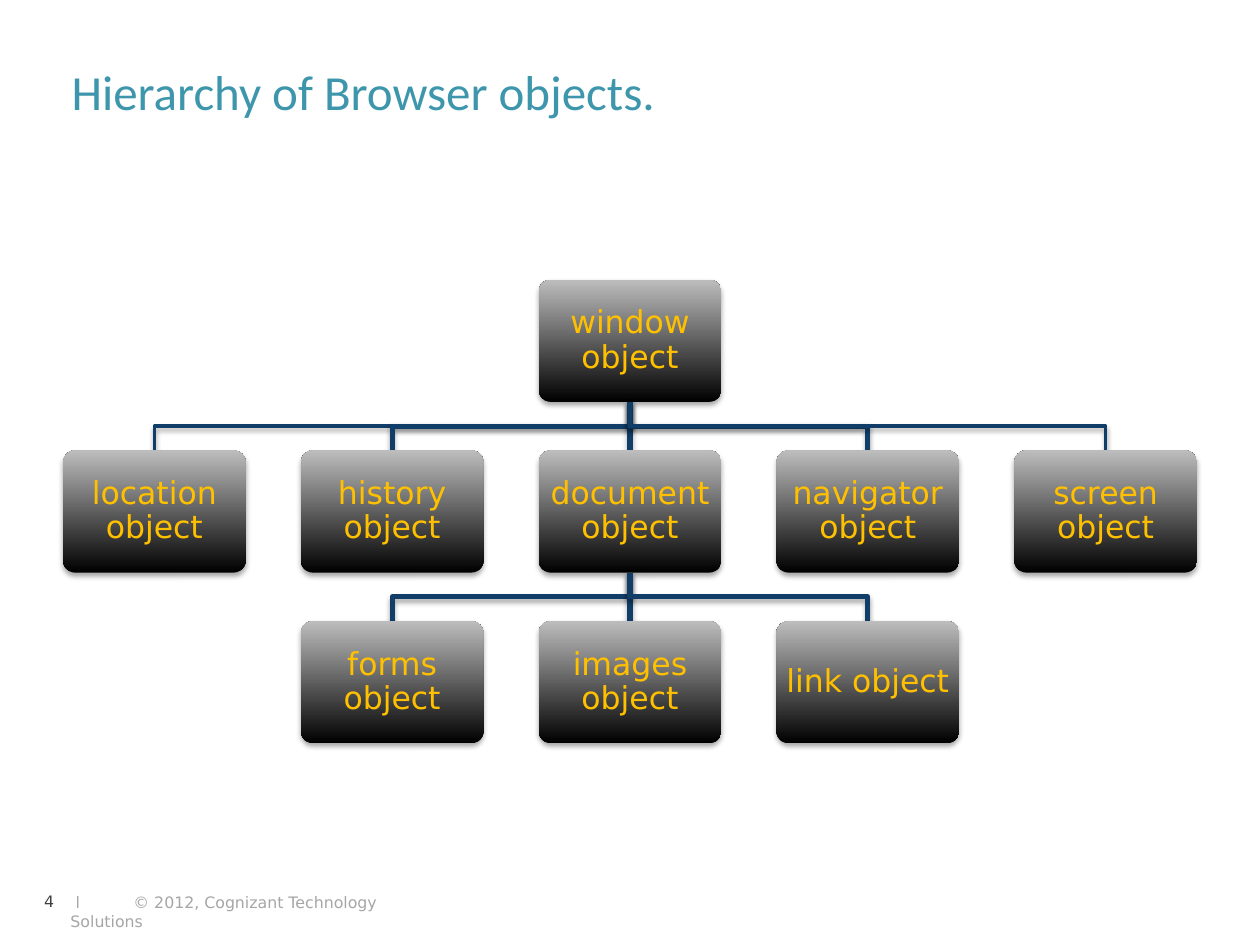
from lxml import etree
from pptx import Presentation
from pptx.dml.color import RGBColor
from pptx.enum import shapes, text
from pptx.oxml.ns import qn
from pptx.util import Inches, Pt

TEAL = RGBColor(0x3D, 0x96, 0xAC)
NAVY = RGBColor(0x10, 0x3E, 0x69)
BLACK = RGBColor(0, 0, 0)
SILVER = RGBColor(0xBD, 0xBD, 0xBD)
AMBER = RGBColor(0xFF, 0xC0, 0x00)
GREY = RGBColor(0xA6, 0xA6, 0xA6)
CHARCOAL = RGBColor(0x40, 0x40, 0x40)

NODE_W, NODE_H = Inches(1.45), Inches(0.97)
COLUMNS, ROWS = 5, 3
ROOT = ("window object", 2, 0)
BRANCHES = [
    (ROOT, ["location object", "history object", "document object",
            "navigator object", "screen object"], 0),
    (("document object", 2, 1), ["forms object", "images object", "link object"], 1),
]


def add_run(paragraph, wording, size, font, color):
    run = paragraph.add_run()
    run.text = wording
    run.font.size = Pt(size)
    run.font.name = font
    run.font.color.rgb = color


def add_label(slide, box, margins):
    frame = slide.shapes.add_textbox(*box).text_frame
    frame.word_wrap = True
    (frame.margin_left, frame.margin_top,
     frame.margin_right, frame.margin_bottom) = map(Inches, margins)
    return frame.paragraphs[0]


def add_shadow(shape):
    """Give the shape a soft shadow falling straight down."""
    effects = etree.SubElement(shape._element.spPr, qn("a:effectLst"))
    outer = etree.SubElement(effects, qn("a:outerShdw"), blurRad=str(Pt(3.1)),
                             dist=str(Pt(1.8)), dir="5400000", rotWithShape="0")
    color = etree.SubElement(outer, qn("a:srgbClr"), val=str(BLACK))
    etree.SubElement(color, qn("a:alpha"), val="35000")


def add_node(slide, wording, left, top):
    node = slide.shapes.add_shape(shapes.MSO_SHAPE.ROUNDED_RECTANGLE,
                                  left, top, NODE_W, NODE_H)
    node.adjustments[0] = 0.1
    node.fill.gradient()
    node.fill.gradient_angle = 90
    for stop, color in zip(node.fill.gradient_stops, (BLACK, SILVER)):
        stop.color.rgb = color
    node.line.fill.background()
    add_shadow(node)

    frame = node.text_frame
    frame.word_wrap = True
    frame.vertical_anchor = text.MSO_ANCHOR.MIDDLE
    frame.margin_left = frame.margin_right = Inches(0.04)
    frame.margin_top = frame.margin_bottom = Inches(0.04)
    paragraph = frame.paragraphs[0]
    paragraph.alignment = text.PP_ALIGN.CENTER
    paragraph.line_spacing = 0.9
    add_run(paragraph, wording, 18, "DejaVu Sans", AMBER)


def add_branch(slide, start, end, weight):
    """Join a parent's bottom centre to a child's top centre."""
    (x1, y1), (x2, y2) = start, end
    if x1 == x2:
        branch = slide.shapes.add_connector(shapes.MSO_CONNECTOR.STRAIGHT, x1, y1, x2, y2)
    else:
        middle = (y1 + y2) // 2
        builder = slide.shapes.build_freeform(x1, y1)
        builder.add_line_segments([(x1, middle), (x2, middle), (x2, y2)], close=False)
        branch = builder.convert_to_shape()
        branch.fill.background()
    branch.line.color.rgb = NAVY
    branch.line.width = Pt(weight)
    add_shadow(branch)


def add_hierarchy(slide, left, top, width, height):
    column_step = (width - NODE_W) // (COLUMNS - 1)
    row_step = (height - NODE_H) // (ROWS - 1)

    def corner(column, row):
        return left + column * column_step, top + row * row_step

    name, column, row = ROOT
    add_node(slide, name, *corner(column, row))
    for (_, column, row), children, first_column in BRANCHES:
        x, y = corner(column, row)
        start = x + NODE_W // 2, y + NODE_H
        for child_column, child in enumerate(children, first_column):
            child_x, child_y = corner(child_column, row + 1)
            weight = 2 if abs(child_column - column) == 2 else 3
            add_branch(slide, start, (child_x + NODE_W // 2, child_y), weight)
            add_node(slide, child, child_x, child_y)


def add_title(slide, *box):
    add_run(add_label(slide, box, (0.1, 0.05, 0.1, 0.05)),
            "Hierarchy of Browser objects.", 28, "Calibri", TEAL)


def add_footer(slide, left, top, width, height):
    notice_left = left + Inches(0.3)
    notice = add_label(slide, (notice_left, top, width - Inches(0.3), height),
                       (0, 0.05, 0, 0))
    properties = notice._p.get_or_add_pPr()
    properties.set("marL", "0")
    properties.set("indent", str(Inches(0.04)))
    tabs = etree.SubElement(properties, qn("a:tabLst"))
    etree.SubElement(tabs, qn("a:tab"), pos=str(Inches(0.24)), algn="l")
    add_run(notice, "l\t© 2012, Cognizant Technology Solutions", 9, "DejaVu Sans", GREY)

    number = add_label(slide, (left, top + Inches(0.04), Inches(0.26), Inches(0.24)),
                       (0, 0, 0, 0))
    number.alignment = text.PP_ALIGN.CENTER
    add_run(number, "4", 9, "DejaVu Sans", CHARCOAL)


def main():
    deck = Presentation()
    deck.slide_width, deck.slide_height = Inches(10), Inches(7.5)
    slide = deck.slides.add_slide(deck.slide_layouts[6])
    add_footer(slide, Inches(0.26), Inches(7.04), Inches(3.06), Inches(0.27))
    add_title(slide, Inches(0.47), Inches(0.44), Inches(6), Inches(0.54))
    add_hierarchy(slide, Inches(0.5), Inches(2.22), Inches(9), Inches(3.68))
    deck.save("out.pptx")


if __name__ == "__main__":
    main()
